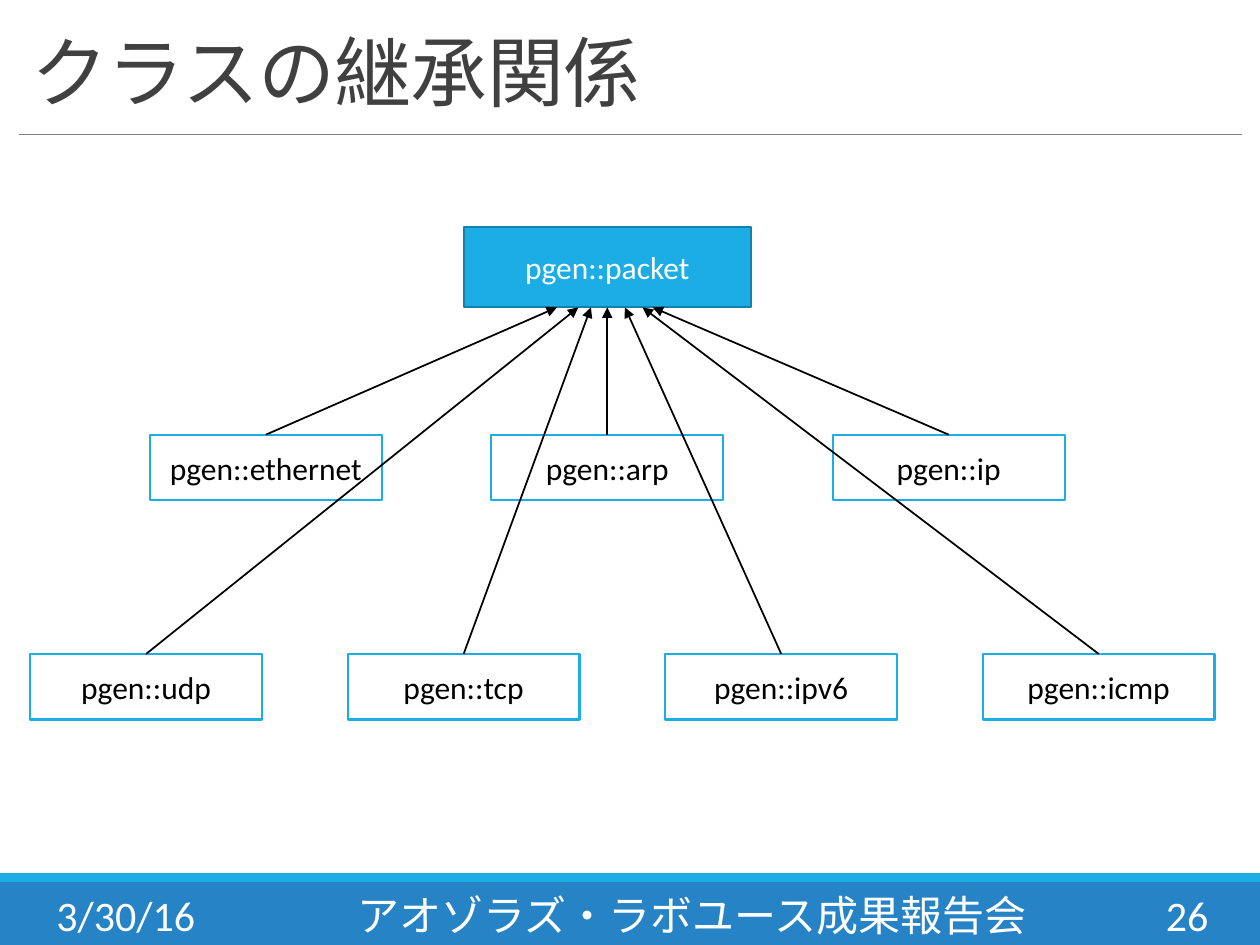
import pptx
import pptx.util
import pptx.dml.color
import pptx.enum.shapes
import pptx.enum.text
import pptx.oxml
import pptx.oxml.ns
from dataclasses import dataclass

Inches = pptx.util.Inches
Pt = pptx.util.Pt
Align = pptx.enum.text.PP_ALIGN
Anchor = pptx.enum.text.MSO_ANCHOR
Kind = pptx.enum.shapes.MSO_SHAPE
Link = pptx.enum.shapes.MSO_CONNECTOR


@dataclass(frozen=True)
class Theme:
    font: str = "Calibri"
    head: int = 44
    foot: int = 24
    body: int = 18
    white: str = "FFFFFF"
    black: str = "000000"
    grey: str = "808080"
    dark: str = "404040"
    sky: str = "1CADE4"
    edge: str = "1580A9"
    blue: str = "2683C6"


def color(code):
    return pptx.dml.color.RGBColor.from_string(code)


def write(frame, text, *, font, size, tint, align=Align.LEFT,
          anchor=Anchor.MIDDLE, lead=None, track=None):
    """Put one formatted paragraph into a text frame."""
    frame.word_wrap = True
    frame.auto_size = pptx.enum.text.MSO_AUTO_SIZE.NONE
    frame.vertical_anchor = anchor
    para = frame.paragraphs[0]
    para.alignment = align
    if lead:
        para.line_spacing = lead
    run = para.add_run()
    run.text = text
    run.font.name = font
    run.font.size = Pt(size)
    run.font.color.rgb = color(tint)
    if track:
        run.font._element.set("spc", str(int(track * 100)))


class Deck:
    def __init__(self, theme):
        self.theme = theme
        self.file = pptx.Presentation()
        self.file.slide_width = Inches(10)
        self.file.slide_height = Inches(7.5)
        self.slide = self.file.slides.add_slide(self.file.slide_layouts[5])

    def title(self, text, left, top, width, height):
        shape = self.slide.shapes.title
        shape.left, shape.top = Inches(left), Inches(top)
        shape.width, shape.height = Inches(width), Inches(height)
        write(shape.text_frame, text, font=self.theme.font,
              size=self.theme.head, tint=self.theme.dark,
              anchor=Anchor.BOTTOM, lead=0.85, track=-0.5)

    def label(self, text, left, top, width, height, align):
        shape = self.slide.shapes.add_textbox(
            Inches(left), Inches(top), Inches(width), Inches(height))
        write(shape.text_frame, text, font=self.theme.font,
              size=self.theme.foot, tint=self.theme.white, align=align)

    def box(self, left, top, width, height, fill, edge=None, text="",
            tint=None):
        shape = self.slide.shapes.add_shape(
            Kind.RECTANGLE, Inches(left), Inches(top),
            Inches(width), Inches(height))
        shape.shadow.inherit = False
        shape.fill.solid()
        shape.fill.fore_color.rgb = color(fill)
        if edge:
            shape.line.color.rgb = color(edge)
            shape.line.width = Pt(1.25)
        else:
            shape.line.fill.background()
        if text:
            write(shape.text_frame, text, font=self.theme.font,
                  size=self.theme.body, tint=tint, align=Align.CENTER)
        return shape

    def line(self, start, end, tint, width, arrow=False, source=None):
        link = self.slide.shapes.add_connector(
            Link.STRAIGHT, *(Inches(n) for n in (*start, *end)))
        if source is not None:
            link.begin_connect(source, 0)
        link.line.color.rgb = color(tint)
        link.line.width = Pt(width)
        if arrow:
            tail = pptx.oxml.parse_xml(
                f'<a:tailEnd {pptx.oxml.ns.nsdecls("a")} type="triangle"/>')
            link.line._get_or_add_ln().append(tail)
        link._element.spPr.append(pptx.oxml.parse_xml(
            f'<a:effectLst {pptx.oxml.ns.nsdecls("a")}/>'))


def main():
    theme = Theme()
    deck = Deck(theme)

    # Footer bands, title and rule
    deck.box(0, 7, 10, 0.5, theme.blue)
    deck.box(0, 6.93, 10, 0.07, theme.sky)
    deck.line((0.15, 1.07), (9.86, 1.07), theme.grey, 0.5)
    deck.title("クラスの継承関係", 0.15, 0.14, 9.71, 0.84)

    # Footer text: date, event, page
    for text, left, width, align in (
            ("3/30/16", 0.35, 2.03, Align.LEFT),
            ("アオゾラズ・ラボユース成果報告会", 2.37, 6.24, Align.CENTER),
            ("26", 8.61, 1.08, Align.RIGHT)):
        deck.label(text, left, 7.06, width, 0.4, align)

    # Base class
    deck.box(3.68, 1.8, 2.28, 0.64, theme.sky, theme.edge,
             "pgen::packet", theme.white)

    # Derived classes: left, top, step, then names with arrow tips
    rows = (
        (1.19, 3.45, 2.71, (("ethernet", 4.42), ("arp", 4.82), ("ip", 5.18))),
        (0.24, 5.19, 2.52, (("udp", 4.59), ("tcp", 4.69),
                            ("ipv6", 4.96), ("icmp", 5.1))),
    )
    width, height = 1.84, 0.52
    links = []
    for first, top, step, items in rows:
        for col, (name, tip) in enumerate(items):
            left = first + col * step
            child = deck.box(left, top, width, height, theme.white,
                             theme.sky, f"pgen::{name}", theme.black)
            links.append((child, (left + width / 2, top), (tip, 2.44)))

    # Arrows to the base class, above all boxes
    for child, start, end in links:
        deck.line(start, end, theme.black, 1, arrow=True, source=child)

    deck.file.save("out.pptx")


if __name__ == "__main__":
    main()
